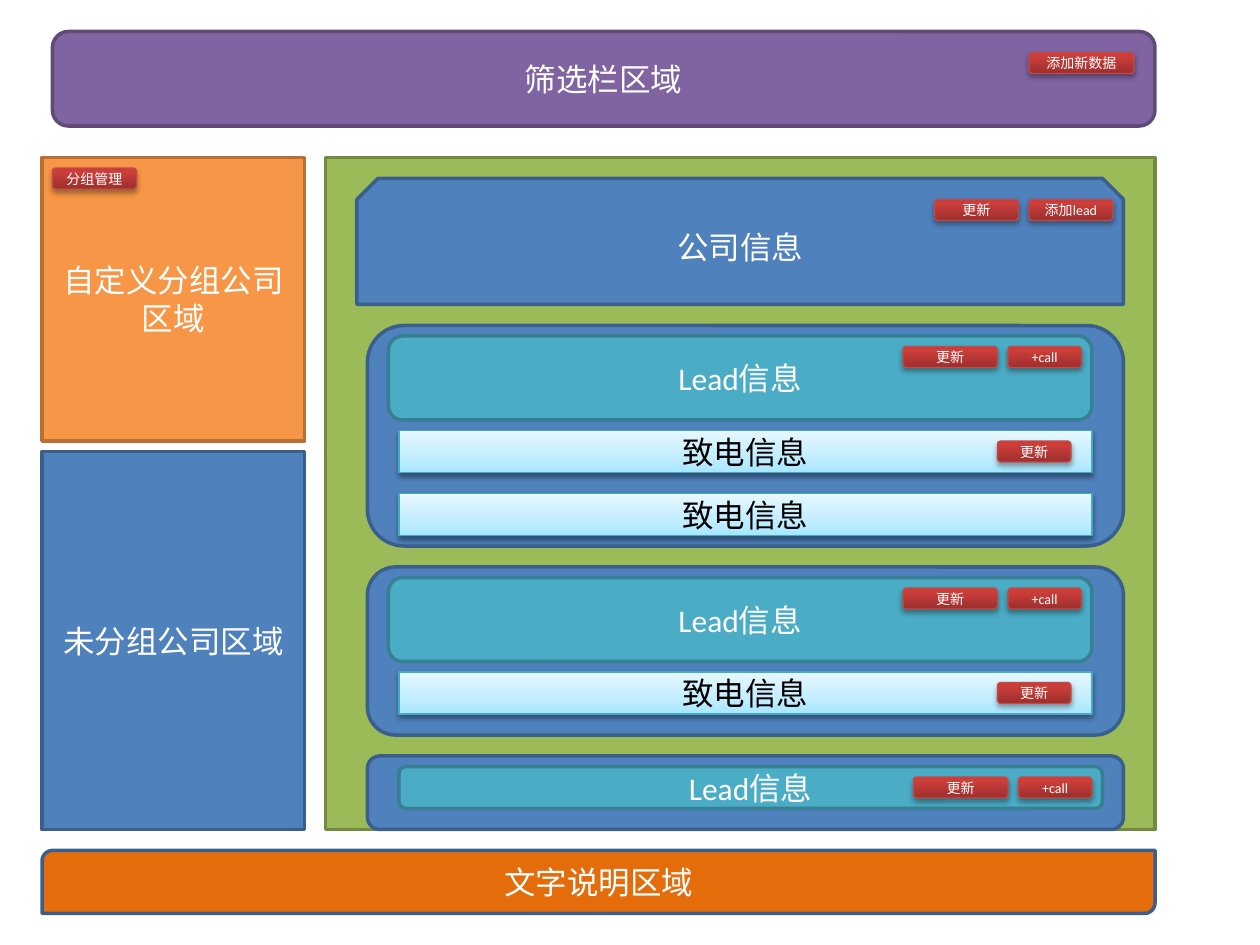
import copy
import pptx
import pptx.util
from pptx.dml.color import RGBColor
from pptx.enum.shapes import MSO_SHAPE
from pptx.enum.text import MSO_ANCHOR, PP_ALIGN
from pptx.oxml import parse_xml
from pptx.oxml.ns import nsdecls, qn

FONT = "Calibri"
GRID = 12  # grid steps to the inch

COLORS = {
    "white": "FFFFFF", "black": "000000",
    "orange": "F79646", "rust": "B76F34", "amber": "E46C0A",
    "blue": "4F81BD", "navy": "3A5F8C",
    "purple": "8064A2", "plum": "5F4A78",
    "green": "9BBB59", "moss": "738A42",
    "teal": "4BACC6", "pine": "377F92",
    "aqua": "46AAC5", "red": "BF4C48",
}

# Gradient styles: stops from bottom to top, shadow opacity and drop
CALL = {
    "stops": [(0, "A7E6FF"), (0.35, "C1EDFF"), (1, "E7F8FF")],
    "line": "aqua", "alpha": 38, "drop": 1.6,
    "size": 18, "ink": "black",
}
BUTTON = {
    "stops": [(0, "9C2F2D"), (0.8, "CB3E3A"), (1, "CE3B37")],
    "line": "red", "alpha": 35, "drop": 1.8,
    "size": 8, "ink": "white",
}

# Areas: text, preset, (left, top, width, height) in grid steps, fill, line
AREAS = [
    ("自定义分组公司区域", "RECTANGLE", (4, 15, 25, 27), "orange", "rust"),
    ("未分组公司区域", "RECTANGLE", (4, 43, 25, 36), "blue", "navy"),
    ("筛选栏区域", "ROUNDED_RECTANGLE", (5, 3, 105, 9), "purple", "plum"),
    ("", "RECTANGLE", (31, 15, 79, 64), "green", "moss"),
    ("公司信息", "SNIP_2_SAME_RECTANGLE", (34, 17, 73, 12), "blue", "navy"),
    ("文字说明区域", "ROUND_2_DIAG_RECTANGLE", (4, 81, 106, 6), "amber", "navy"),
]

# Lead cards: top, height, bar left, bar height, number of calls
CARDS = [(31, 21, 37, 8, 2), (54, 16, 37, 8, 1), (72, 7, 38, 4, 0)]

# Buttons outside the cards: text, left, top, width
BUTTONS = [
    ("添加新数据", 98, 5, 10),
    ("分组管理", 5, 16, 8),
    ("更新", 89, 19, 8),
    ("添加lead", 98, 19, 8),
]

prs = pptx.Presentation()
prs.slide_width = pptx.util.Inches(10)
prs.slide_height = pptx.util.Inches(7.5)
slide = prs.slides.add_slide(prs.slide_layouts[6])


def rgb(name):
    return RGBColor.from_string(COLORS[name])


def add_box(text, preset, box, line, width, size=18, ink="white"):
    spot = [pptx.util.Inches(n / GRID) for n in box]
    shape = slide.shapes.add_shape(getattr(MSO_SHAPE, preset), *spot)
    shape.shadow.inherit = False
    shape.line.color.rgb = rgb(line)
    shape.line.width = pptx.util.Pt(width)
    if text:
        frame = shape.text_frame
        frame.word_wrap = True
        frame.vertical_anchor = MSO_ANCHOR.MIDDLE
        para = frame.paragraphs[0]
        para.text = text
        para.alignment = PP_ALIGN.CENTER
        para.font.name = FONT
        para.font.size = pptx.util.Pt(size)
        para.font.color.rgb = rgb(ink)
    return shape


def add_flat(text, preset, box, fill, line):
    shape = add_box(text, preset, box, line, 2)
    shape.fill.solid()
    shape.fill.fore_color.rgb = rgb(fill)


def add_glossy(text, preset, box, style):
    """Add a box with a three-stop gradient and a soft drop shadow."""
    shape = add_box(text, preset, box, style["line"], 0.75,
                    style["size"], style["ink"])
    shape.fill.gradient()
    shape.fill.gradient_angle = 90
    props = shape._element.spPr
    stops = props.find(".//" + qn("a:gsLst"))
    stops.append(copy.deepcopy(stops[0]))
    for stop, (place, color) in zip(shape.fill.gradient_stops, style["stops"]):
        stop.position = place
        stop.color.rgb = RGBColor.from_string(color)
    blur, drop = pptx.util.Pt(3.1), pptx.util.Pt(style["drop"])
    props.find(qn("a:effectLst")).append(parse_xml(
        f'<a:outerShdw {nsdecls("a")} blurRad="{blur}" dist="{drop}" '
        f'dir="5400000" rotWithShape="0"><a:srgbClr val="{COLORS["black"]}">'
        f'<a:alpha val="{style["alpha"] * 1000}"/></a:srgbClr></a:outerShdw>'))


def add_button(text, left, top, width):
    add_glossy(text, "ROUNDED_RECTANGLE", (left, top, width, 2), BUTTON)


def add_card(top, height, left, bar, calls):
    """Add a lead card with its title bar, calls and buttons."""
    add_flat("", "ROUNDED_RECTANGLE", (35, top, 72, height), "blue", "navy")
    add_flat("Lead信息", "ROUNDED_RECTANGLE", (left, top + 1, 67, bar),
             "teal", "pine")
    add_button("更新", left + 49, top + 2, 9)
    add_button("+call", left + 59, top + 2, 7)
    for i in range(calls):
        add_glossy("致电信息", "RECTANGLE", (38, top + 10 + 6 * i, 66, 4), CALL)
    if calls:
        add_button("更新", 95, top + 11, 7)


for area in AREAS:
    add_flat(*area)
for card in CARDS:
    add_card(*card)
for button in BUTTONS:
    add_button(*button)

prs.save("out.pptx")
